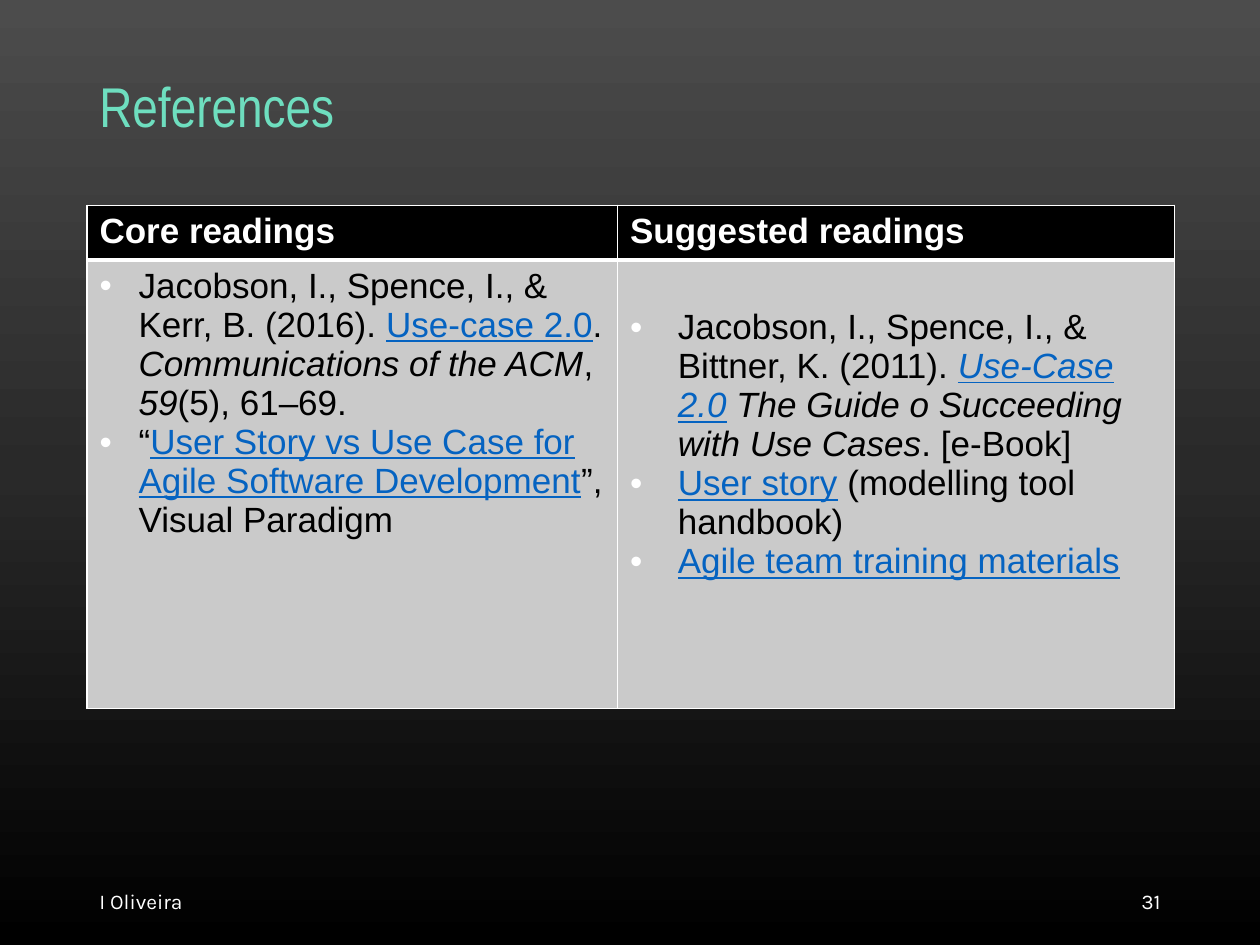
import copy
import pptx
import pptx.util
import pptx.dml.color
import pptx.enum.text
import pptx.oxml
import pptx.oxml.ns

Inches = pptx.util.Inches
Pt = pptx.util.Pt
qn = pptx.oxml.ns.qn
NS = pptx.oxml.ns.nsdecls("a")
ALIGN = pptx.enum.text.PP_ALIGN

HUES = {
    "top": "4C4C4C", "mid": "292929", "black": "000000", "white": "FFFFFF",
    "mint": "6EDEBF", "link": "0563C1", "grey": "CACACA",
}

# Each entry is a list of (text, style): "i" italic, "l" link look
CORE = [
    [("Jacobson, I., Spence, I., & Kerr, B. (2016). ", ""),
     ("Use-case 2.0", "l"), (". ", ""),
     ("Communications of the ACM", "i"), (", ", ""),
     ("59", "i"), ("(5), 61–69.", "")],
    [("“", ""),
     ("User Story vs Use Case for Agile Software Development", "l"),
     ("”, Visual Paradigm", "")],
]
EXTRA = [
    [("Jacobson, I., Spence, I., & Bittner, K. (2011). ", ""),
     ("Use-Case 2.0", "il"),
     (" The Guide o Succeeding with Use Cases", "i"), (". [e-Book]", "")],
    [("User story", "l"), (" (modelling tool handbook)", "")],
    [("Agile team training materials", "l")],
]


def rgb(hue):
    return pptx.dml.color.RGBColor.from_string(HUES[hue])


def style(font, face, size, hue):
    font.name = face
    font.size = Pt(size)
    font.color.rgb = rgb(hue)


def paint(slide):
    """Fill the background with a three-stop vertical gradient."""
    fill = slide.background.fill
    fill.gradient()
    fill.gradient_angle = 270
    stops = slide.background._cSld.find(".//" + qn("a:gsLst"))
    stops.insert(1, copy.deepcopy(stops[0]))
    for stop, hue, pos in zip(fill.gradient_stops,
                              ("top", "mid", "black"), (0, 0.5, 1)):
        stop.color.rgb = rgb(hue)
        stop.position = pos


def label(slide, text, area, face, size, hue, align=ALIGN.LEFT):
    box = slide.shapes.add_textbox(*map(Inches, area))
    frame = box.text_frame
    frame.word_wrap = True
    frame.vertical_anchor = pptx.enum.text.MSO_ANCHOR.MIDDLE
    frame.text = text
    para = frame.paragraphs[0]
    para.alignment = align
    style(para.runs[0].font, face, size, hue)
    return para


def border(cell, **widths):
    """Draw white cell edges, 1 pt unless given by side."""
    props = cell._tc.get_or_add_tcPr()
    for side in "LRTB":
        width = Pt(widths.get(side, 1))
        props.append(pptx.oxml.parse_xml(
            f'<a:ln{side} {NS} w="{width}"><a:solidFill>'
            f'<a:srgbClr val="{HUES["white"]}"/></a:solidFill></a:ln{side}>'))


def fill(cell, hue):
    cell.fill.solid()
    cell.fill.fore_color.rgb = rgb(hue)


def bullet(para, indent):
    props = para._p.get_or_add_pPr()
    props.set("marL", str(Inches(indent)))
    props.set("indent", str(-Inches(indent)))
    for xml in (f'<a:buClr {NS}><a:srgbClr val="{HUES["white"]}"/></a:buClr>',
                f'<a:buFont {NS} typeface="Arial"/>',
                f'<a:buChar {NS} char="•"/>'):
        props.append(pptx.oxml.parse_xml(xml))


def head(cell, text):
    border(cell, B=3)
    fill(cell, "black")
    cell.text = text
    font = cell.text_frame.paragraphs[0].runs[0].font
    style(font, "Arial", 20, "white")
    font.bold = True


def body(cell, items, indent, top):
    border(cell, T=3)
    fill(cell, "grey")
    cell.margin_top = Inches(top)
    frame = cell.text_frame
    for num, item in enumerate(items):
        para = frame.add_paragraph() if num else frame.paragraphs[0]
        bullet(para, indent)
        for text, marks in item:
            run = para.add_run()
            run.text = text
            linked = "l" in marks
            style(run.font, "Arial", 20, "link" if linked else "black")
            run.font.bold = False
            run.font.italic = "i" in marks
            run.font.underline = linked


def readings(slide):
    widths, heights = (4.21, 4.42), (0.41, 3.56)
    area = (0.69, 1.63, sum(widths), sum(heights))
    table = slide.shapes.add_table(2, 2, *map(Inches, area)).table
    table.horz_banding = False
    for col, width in zip(table.columns, widths):
        col.width = Inches(width)
    for row, height in zip(table.rows, heights):
        row.height = Inches(height)
    lists = (("Core readings", CORE, 0.31, 0.05),
             ("Suggested readings", EXTRA, 0.38, 0.38))
    for col, (title, items, indent, top) in enumerate(lists):
        head(table.cell(0, col), title)
        body(table.cell(1, col), items, indent, top)


def main():
    deck = pptx.Presentation()
    deck.slide_width, deck.slide_height = Inches(10), Inches(7.5)
    slide = deck.slides.add_slide(deck.slide_layouts[6])
    paint(slide)

    # Title
    title = label(slide, "References", (0.69, 0.4, 8.62, 0.93),
                  "Arial Narrow", 32, "mint")
    title.line_spacing = 0.9

    # Reading lists
    readings(slide)

    # Footer
    label(slide, "I Oliveira", (0.69, 6.95, 6, 0.4), "Karla", 12, "white")
    label(slide, "31", (7.06, 6.95, 2.25, 0.4), "Karla", 12, "white",
          ALIGN.RIGHT)

    deck.save("out.pptx")


if __name__ == "__main__":
    main()
